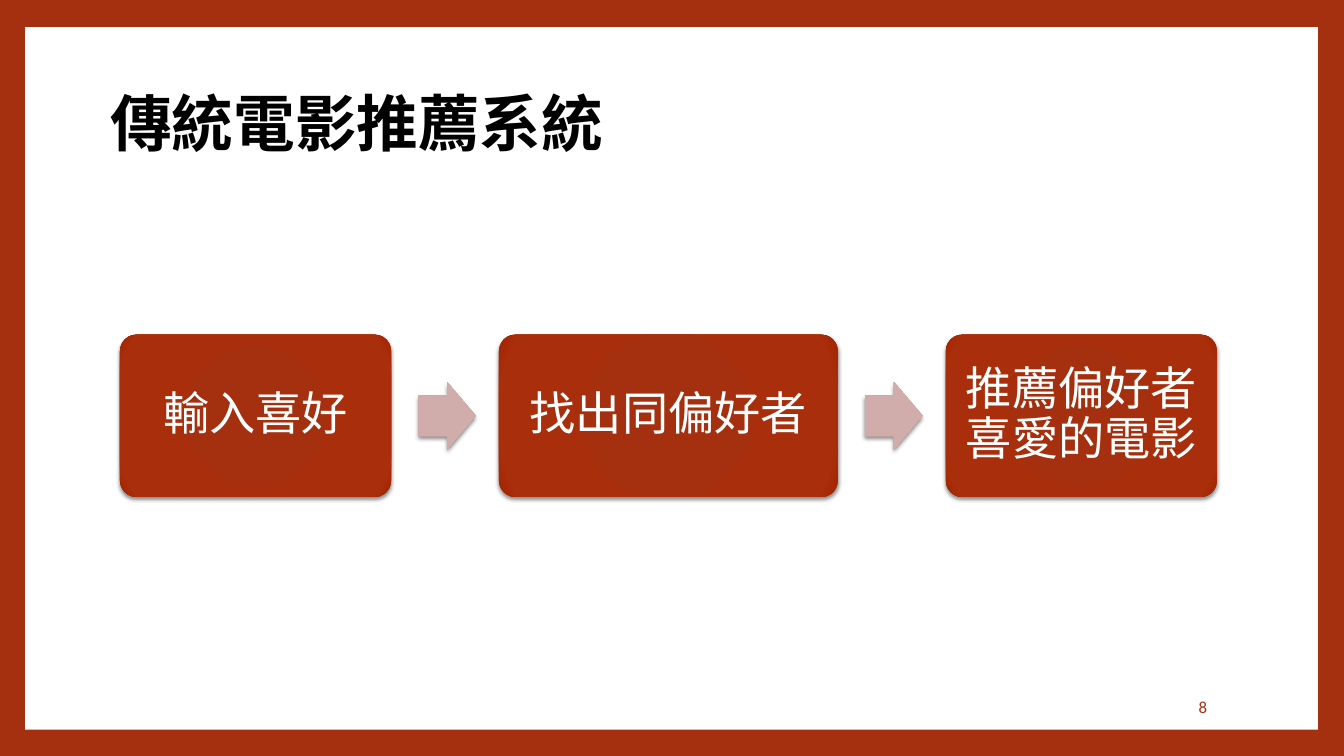
from dataclasses import dataclass

from lxml.etree import SubElement
from pptx import Presentation
from pptx.dml.color import RGBColor
from pptx.enum.shapes import MSO_SHAPE
from pptx.enum.text import MSO_ANCHOR, MSO_AUTO_SIZE, PP_ALIGN
from pptx.oxml import parse_xml
from pptx.oxml.ns import nsdecls, qn
from pptx.util import Pt

SCALE = 9144  # EMU in one px, 100 px to the inch


@dataclass(frozen=True)
class Theme:
    red: str = "A5300F"
    white: str = "FFFFFF"
    black: str = "000000"
    card: tuple = ("A5300F", "A92E0B", "A32400")
    arrow: tuple = ("CFAEAB", "D0ADAA", "BF9B98")
    font: str = "Calibri"
    head: str = "Noto Sans CJK SC"
    big: int = 44
    mid: int = 33
    small: int = 12


THEME = Theme()


def px(*nums):
    return [round(n * SCALE) for n in nums]


def add_run(para, text, size, color, font=THEME.font, bold=False):
    run = para.add_run()
    run.text = text
    run.font.size = Pt(size)
    run.font.bold = bold
    run.font.name = font
    run.font.color.rgb = RGBColor.from_string(color)
    SubElement(run.font._element, qn("a:ea")).set("typeface", THEME.head)


def add_glow(shape, tones):
    """Radial gradient fill with a soft shadow below."""
    stops = "".join(
        f'<a:gs pos="{pos}000"><a:srgbClr val="{tone}"/></a:gs>'
        for pos, tone in zip((0, 90, 100), tones))
    shape.fill.background()
    shape.line.fill.background()
    props = shape._element.spPr
    props.replace(props.find(qn("a:noFill")), parse_xml(
        f'<a:gradFill {nsdecls("a")} rotWithShape="1"><a:gsLst>{stops}</a:gsLst>'
        '<a:path path="circle"><a:fillToRect l="100000" t="100000" r="100000" '
        'b="100000"/></a:path></a:gradFill>'))
    shape.shadow.inherit = False
    props.find(qn("a:effectLst")).append(parse_xml(
        f'<a:outerShdw {nsdecls("a")} blurRad="{Pt(3)}" dist="{Pt(2)}" '
        f'dir="5400000" rotWithShape="0"><a:srgbClr val="{THEME.black}">'
        '<a:alpha val="45000"/></a:srgbClr></a:outerShdw>'))


def add_frame(slide, box):
    """Red backdrop with a white page inside."""
    back = slide.background.fill
    back.solid()
    back.fore_color.rgb = RGBColor.from_string(THEME.red)
    page = slide.shapes.add_shape(MSO_SHAPE.RECTANGLE, *px(*box))
    page.shadow.inherit = False
    page.fill.solid()
    page.fill.fore_color.rgb = RGBColor.from_string(THEME.white)
    page.line.fill.background()
    # Page goes behind the title placeholder
    slide.shapes._spTree.insert(2, page._element)


def add_title(slide, box, text):
    title = slide.shapes.title
    title.left, title.top, title.width, title.height = px(*box)
    frame = title.text_frame
    frame.word_wrap = False
    frame.auto_size = MSO_AUTO_SIZE.SHAPE_TO_FIT_TEXT
    frame.vertical_anchor = MSO_ANCHOR.TOP
    para = frame.paragraphs[0]
    para.alignment = PP_ALIGN.CENTER
    para.line_spacing = 0.9
    add_run(para, text, THEME.big, THEME.black, THEME.head, True)


def add_card(slide, box, text):
    card = slide.shapes.add_shape(MSO_SHAPE.ROUNDED_RECTANGLE, *px(*box))
    card.adjustments[0] = 0.1
    add_glow(card, THEME.card)
    frame = card.text_frame
    frame.word_wrap = True
    frame.vertical_anchor = MSO_ANCHOR.MIDDLE
    (frame.margin_left, frame.margin_top,
     frame.margin_right, frame.margin_bottom) = px(14, 14, 14, 14)
    para = frame.paragraphs[0]
    para.alignment = PP_ALIGN.CENTER
    para.line_spacing = 0.9
    add_run(para, text, THEME.mid, THEME.white)


def add_arrow(slide, box):
    arrow = slide.shapes.add_shape(MSO_SHAPE.RIGHT_ARROW, *px(*box))
    arrow.adjustments[0] = 0.6
    arrow.adjustments[1] = 0.5
    add_glow(arrow, THEME.arrow)


def add_flow(slide, box, steps):
    """Cards in a row, with an arrow in each gap."""
    left, top, width, height = box
    gap, lead, wide, tall = 107, 27, 57, 67
    share = (width - gap * (len(steps) - 1)) / sum(part for _, part in steps)
    for num, (text, part) in enumerate(steps):
        if num:
            add_arrow(slide, (left - gap + lead, top + (height - tall) / 2,
                              wide, tall))
        add_card(slide, (left, top, part * share, height), text)
        left += part * share + gap


def add_number(slide, box, text):
    frame = slide.shapes.add_textbox(*px(*box)).text_frame
    frame.word_wrap = True
    frame.vertical_anchor = MSO_ANCHOR.MIDDLE
    para = frame.paragraphs[0]
    para.alignment = PP_ALIGN.RIGHT
    add_run(para, text, THEME.small, THEME.red)


def main():
    deck = Presentation()
    deck.slide_width, deck.slide_height = px(1333, 750)
    slide = deck.slides.add_slide(deck.slide_layouts[5])
    add_frame(slide, (25, 27, 1282, 697))
    add_title(slide, (97, 88, 514, 77), "傳統電影推薦系統")
    add_flow(slide, (119, 332, 1088, 161),
             [("輸入喜好", 4), ("找出同偏好者", 5), ("推薦偏好者喜愛的電影", 4)])
    add_number(slide, (1020, 681, 187, 40), "8")
    deck.save("out.pptx")


if __name__ == "__main__":
    main()
